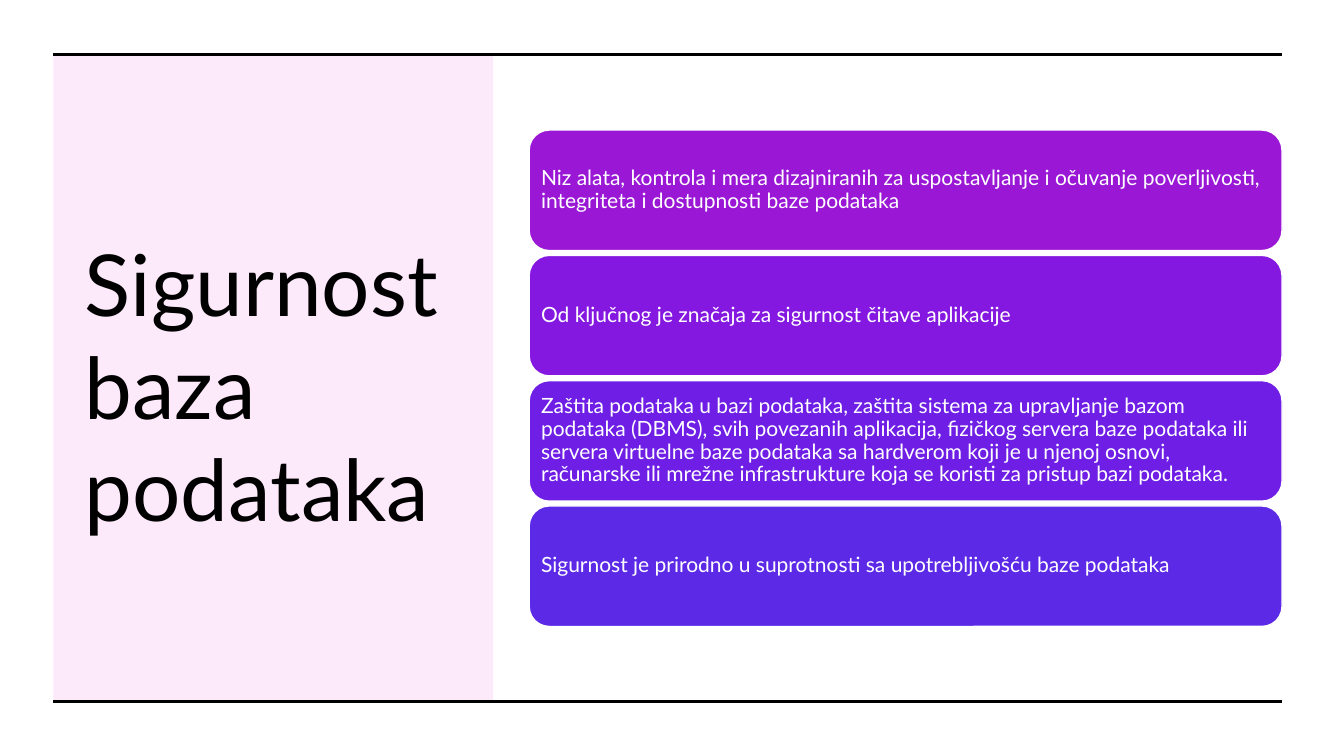
from dataclasses import dataclass

from lxml import etree
from pptx import Presentation
from pptx.dml.color import RGBColor
from pptx.enum import shapes, text
from pptx.oxml import ns
from pptx.util import Pt

COLORS = {
    "ink": "000000",
    "white": "FFFFFF",
    "panel": "E729D4",
    "magenta": "9917D5",
    "purple": "8518E0",
    "violet": "6F1EE6",
    "indigo": "5C29E7",
}
FONT = "Lato"
LEFT, RIGHT = 38.2, 915.8
TOP, BOTTOM = 38.9, 501.1
CARD_LEFT, CARD_TOP = 378, 92.9
CARD_HEIGHT, CARD_PITCH = 86.1, 89.5


@dataclass(frozen=True)
class Card:
    wording: str
    color: str


CARDS = [
    Card("Niz alata, kontrola i mera dizajniranih za uspostavljanje i očuvanje "
         "poverljivosti, integriteta i dostupnosti baze podataka", "magenta"),
    Card("Od ključnog je značaja za sigurnost čitave aplikacije", "purple"),
    Card("Zaštita podataka u bazi podataka, zaštita sistema za upravljanje bazom "
         "podataka (DBMS), svih povezanih aplikacija, fizičkog servera baze podataka "
         "ili servera virtuelne baze podataka sa hardverom koji je u njenoj osnovi, "
         "računarske ili mrežne infrastrukture koja se koristi za pristup bazi "
         "podataka.", "violet"),
    Card("Sigurnost je prirodno u suprotnosti sa upotrebljivošću baze podataka",
         "indigo"),
]


def rgb(name: str) -> RGBColor:
    return RGBColor.from_string(COLORS[name])


def write(shape, wording: str, *, size: float, color: str,
          spacing: float = 1.0, inset_x: float = 7.2, inset_y: float = 3.6) -> None:
    frame = shape.text_frame
    frame.word_wrap = True
    frame.auto_size = text.MSO_AUTO_SIZE.NONE
    frame.vertical_anchor = text.MSO_ANCHOR.MIDDLE
    frame.margin_left = frame.margin_right = Pt(inset_x)
    frame.margin_top = frame.margin_bottom = Pt(inset_y)
    paragraph = frame.paragraphs[0]
    paragraph.alignment = text.PP_ALIGN.LEFT
    paragraph.line_spacing = spacing
    run = paragraph.add_run()
    run.text = wording
    run.font.name = FONT
    run.font.size = Pt(size)
    run.font.color.rgb = rgb(color)


def add_block(slide, kind, left: float, top: float, width: float, height: float,
              color: str):
    block = slide.shapes.add_shape(kind, Pt(left), Pt(top), Pt(width), Pt(height))
    block.shadow.inherit = False
    block.fill.solid()
    block.fill.fore_color.rgb = rgb(color)
    block.line.fill.background()
    return block


def add_panel(slide) -> None:
    panel = add_block(slide, shapes.MSO_SHAPE.RECTANGLE, LEFT, TOP, 314, 461.5, "panel")
    tint = panel.element.spPr.find(f"{ns.qn('a:solidFill')}/{ns.qn('a:srgbClr')}")
    etree.SubElement(tint, ns.qn("a:alpha"), val="10000")
    slide.shapes.title.element.addprevious(panel.element)


def add_rule(slide, y: float) -> None:
    rule = slide.shapes.add_connector(
        shapes.MSO_CONNECTOR.STRAIGHT, Pt(LEFT), Pt(y), Pt(RIGHT), Pt(y))
    rule.line.color.rgb = rgb("ink")
    rule.line.width = Pt(2.25)
    etree.SubElement(rule.element.spPr, ns.qn("a:effectLst"))


def add_card(slide, card: Card, top: float) -> None:
    block = add_block(slide, shapes.MSO_SHAPE.ROUNDED_RECTANGLE, CARD_LEFT, top,
                      RIGHT - CARD_LEFT, CARD_HEIGHT, card.color)
    block.line.color.rgb = rgb("white")
    block.line.width = Pt(1)
    write(block, card.wording, size=15, color="white", spacing=0.9,
          inset_x=4.3, inset_y=4.3)


def main() -> None:
    deck = Presentation()
    deck.slide_width, deck.slide_height = Pt(960), Pt(540)
    slide = deck.slides.add_slide(deck.slide_layouts[5])

    title = slide.shapes.title
    title.left, title.top, title.width, title.height = Pt(53.3), Pt(77), Pt(280), Pt(396)
    write(title, "Sigurnost baza podataka", size=61, color="ink")

    add_panel(slide)
    for y in (TOP, BOTTOM):
        add_rule(slide, y)
    for index, card in enumerate(CARDS):
        add_card(slide, card, CARD_TOP + index * CARD_PITCH)

    deck.save("out.pptx")


if __name__ == "__main__":
    main()
